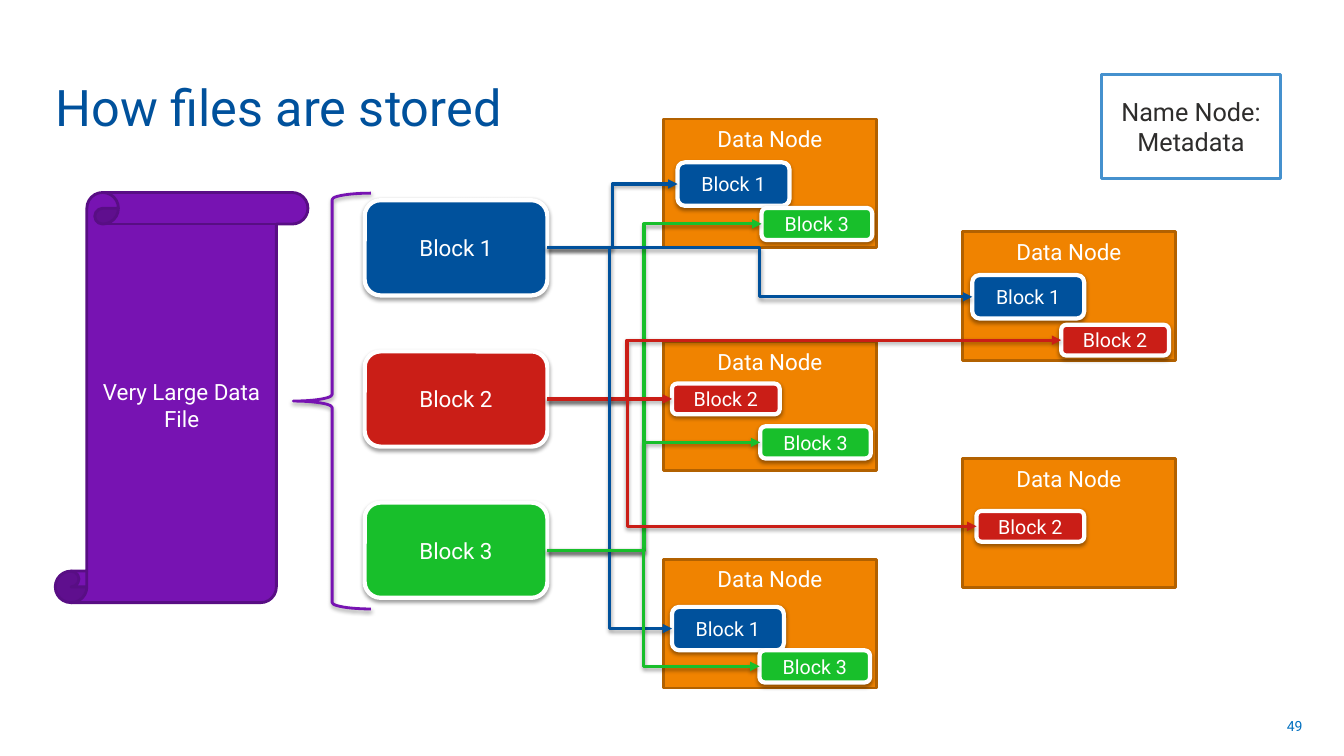
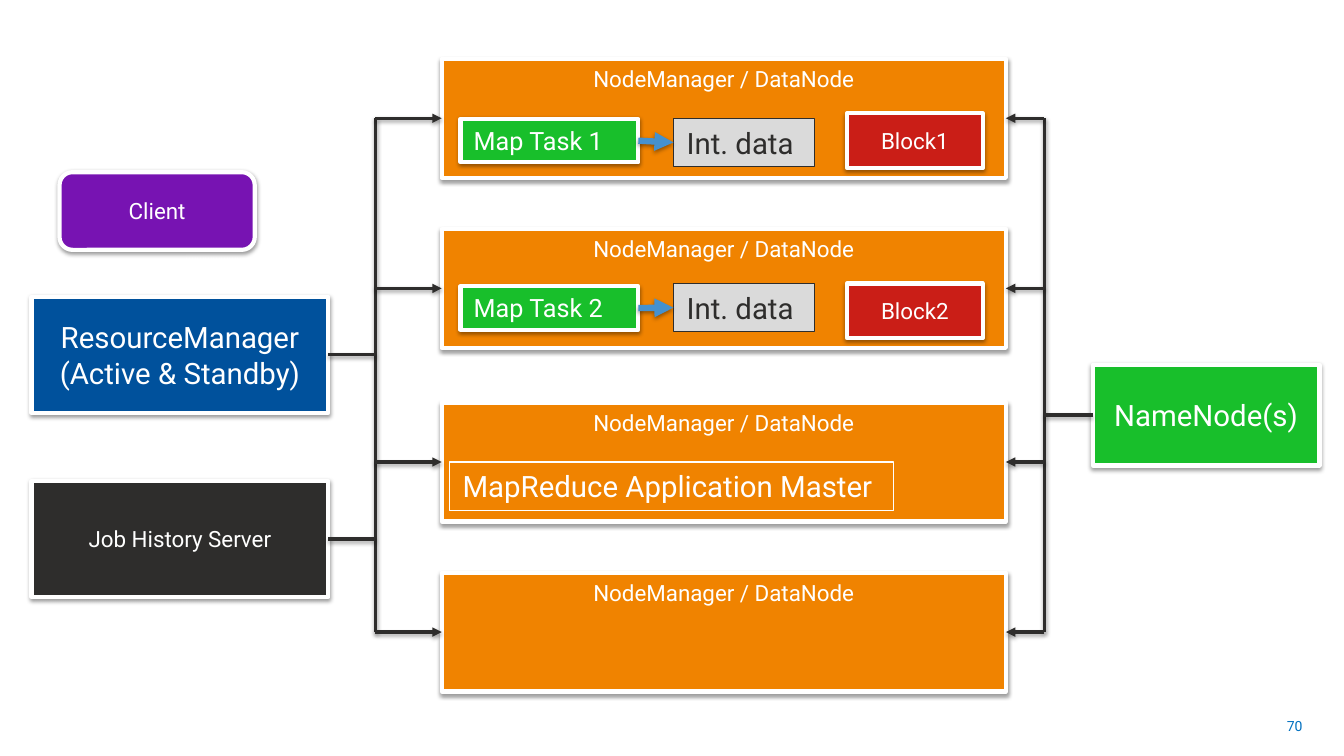
from dataclasses import dataclass

from lxml.etree import SubElement
from pptx import Presentation
from pptx.dml.color import RGBColor
from pptx.enum.shapes import MSO_CONNECTOR, MSO_SHAPE
from pptx.enum.text import MSO_ANCHOR, PP_ALIGN
from pptx.oxml.ns import qn
from pptx.util import Pt


@dataclass(frozen=True)
class Theme:
    """Colours, font and type sizes shared by the slides."""

    font: str = "Roboto"
    blue: str = "00519C"
    red: str = "CA1E17"
    green: str = "18BF2B"
    purple: str = "7713B2"
    purple_edge: str = "580E84"
    orange: str = "F08300"
    orange_edge: str = "B26100"
    sky: str = "4591CE"
    ink: str = "2E2D2C"
    grey: str = "DADADA"
    white: str = "FFFFFF"
    number: str = "0070C0"
    title_size: float = 36
    large: float = 21
    medium: float = 18
    body: float = 16
    small: float = 14
    number_size: float = 10


THEME = Theme()
LEFT_SIDE, RIGHT_SIDE = 1, 3
BLOCK_COLOURS = {1: THEME.blue, 2: THEME.red, 3: THEME.green}
BLOCK_SIZES = {1: (80, 31), 2: (77, 22), 3: (79, 23)}
BLOCK_LANES = {1: None, 2: 448, 3: 460}


def rgb(colour):
    """Turn a hex string into a colour."""
    return RGBColor.from_string(colour)


def write(frame, text, size, colour, align):
    """Fill a text frame and format all its paragraphs alike."""
    frame.text = text
    for paragraph in frame.paragraphs:
        paragraph.alignment = align
        paragraph.font.name = THEME.font
        paragraph.font.size = Pt(size)
        paragraph.font.color.rgb = rgb(colour)


def cast_shadow(properties):
    """Give a shape or connector the soft shadow of the deck."""
    effects = properties.find(qn("a:effectLst"))
    if effects is None:
        effects = SubElement(properties, qn("a:effectLst"))
    shadow = SubElement(effects, qn("a:outerShdw"), blurRad=str(Pt(3.1)),
                        dist=str(Pt(1.6)), dir="5400000", rotWithShape="0")
    tint = SubElement(shadow, qn("a:srgbClr"), val="000000")
    SubElement(tint, qn("a:alpha"), val="38000")


def add_panel(slide, box, text="", fill=None, edge=THEME.white, weight=3, size=THEME.body,
              colour=THEME.white, geometry=MSO_SHAPE.RECTANGLE, anchor=MSO_ANCHOR.MIDDLE,
              align=PP_ALIGN.CENTER, shadow=True):
    """Add a preset shape with an optional label."""
    panel = slide.shapes.add_shape(geometry, *map(Pt, box))
    panel.shadow.inherit = False
    if fill:
        panel.fill.solid()
        panel.fill.fore_color.rgb = rgb(fill)
    else:
        panel.fill.background()
    panel.line.color.rgb = rgb(edge)
    panel.line.width = Pt(weight)
    if shadow:
        cast_shadow(panel.element.spPr)
    if text:
        frame = panel.text_frame
        frame.word_wrap = True
        frame.vertical_anchor = anchor
        frame.margin_left = frame.margin_right = Pt(9.4)
        frame.margin_top = frame.margin_bottom = Pt(4.5)
        write(frame, text, size, colour, align)
    return panel


def end_point(end):
    """Return the position of a free point or of a shape's side."""
    first, second = end
    if isinstance(first, (int, float)):
        return Pt(first), Pt(second)
    x = first.left + (first.width if second == RIGHT_SIDE else 0)
    return x, first.top + first.height // 2


def add_link(slide, start, finish, colour=THEME.ink, weight=2.25, arrow=True, elbow=False, lane=None):
    """Join two points or (shape, side) pairs, bending at the lane if given."""
    begin, end = end_point(start), end_point(finish)
    kind = MSO_CONNECTOR.ELBOW if elbow else MSO_CONNECTOR.STRAIGHT
    link = slide.shapes.add_connector(kind, *begin, *end)
    if not isinstance(start[0], (int, float)):
        link.begin_connect(*start)
    if not isinstance(finish[0], (int, float)):
        link.end_connect(*finish)
    link.line.color.rgb = rgb(colour)
    link.line.width = Pt(weight)
    properties = link.element.spPr
    if arrow:
        SubElement(properties.find(qn("a:ln")), qn("a:tailEnd"), type="triangle")
    if lane:
        bend = round(100000 * (Pt(lane) - begin[0]) / (end[0] - begin[0]))
        guides = properties.find(qn("a:prstGeom")).find(qn("a:avLst"))
        SubElement(guides, qn("a:gd"), name="adj1", fmla=f"val {bend}")
    cast_shadow(properties)


def add_page(deck, layout, number):
    """Add a slide with its page number."""
    slide = deck.slides.add_slide(deck.slide_layouts[layout])
    footer = slide.shapes.add_textbox(Pt(713.5), Pt(504), Pt(224), Pt(29)).text_frame
    footer.word_wrap = True
    footer.vertical_anchor = MSO_ANCHOR.MIDDLE
    write(footer, number, THEME.number_size, THEME.number, PP_ALIGN.RIGHT)
    return slide


def place_title(slide, text):
    """Place the title at the foot of its band."""
    title = slide.shapes.title
    title.left, title.top, title.width, title.height = map(Pt, (32.4, 10, 718.6, 91))
    title.text_frame.vertical_anchor = MSO_ANCHOR.BOTTOM
    write(title.text_frame, text, THEME.title_size, THEME.blue, PP_ALIGN.LEFT)


def add_block(slide, block, box, size):
    """Add one numbered file block."""
    return add_panel(slide, box, f"Block {block}", BLOCK_COLOURS[block], size=size,
                     geometry=MSO_SHAPE.ROUNDED_RECTANGLE)


def add_data_node(slide, left, top, contents):
    """Add a data node and return the blocks stored in it."""
    add_panel(slide, (left, top, 152, 92), "Data Node", THEME.orange, THEME.orange_edge, 2,
              anchor=MSO_ANCHOR.TOP, shadow=False)
    return [(block, add_block(slide, block, (left + x, top + y, *BLOCK_SIZES[block]), THEME.small))
            for block, x, y in contents]


def add_source_file(slide, left, top):
    """Add the large file, the brace and its three blocks."""
    add_panel(slide, (left, top, 180.5, 293), "Very Large Data File", THEME.purple,
              THEME.purple_edge, 2, geometry=MSO_SHAPE.VERTICAL_SCROLL, shadow=False)
    add_panel(slide, (left + 170, top + 0.5, 55.5, 297), edge=THEME.purple, weight=2,
              geometry=MSO_SHAPE.LEFT_BRACE)
    return {block: add_block(slide, block, (left + 221, top + 5.5 + 108 * row, 130.5, 68), THEME.body)
            for row, block in enumerate(BLOCK_COLOURS)}


def build_storage_slide(deck):
    """Show how the blocks of a file are spread over data nodes."""
    slide = add_page(deck, 5, "49")
    place_title(slide, "How files are stored")
    sources = add_source_file(slide, 39.5, 137.5)
    add_panel(slide, (787, 53.5, 127.5, 74), "Name Node:\nMetadata", THEME.white, THEME.sky, 2,
              THEME.medium, THEME.ink, shadow=False)
    near, far = 474, 687.5
    nodes = [
        (near, 85, [(1, 10, 31), (3, 70, 63.5)]),
        (far, 165.5, [(1, 7, 31), (2, 70.5, 66.5)]),
        (near, 244, [(2, 6, 30), (3, 69, 60.5)]),
        (far, 327.5, [(2, 10, 37.5)]),
        (near, 399.5, [(1, 6, 34), (3, 68.5, 65)]),
    ]
    stored = [pair for node in nodes for pair in add_data_node(slide, *node)]
    for block, replica in stored:
        add_link(slide, (sources[block], RIGHT_SIDE), (replica, LEFT_SIDE), BLOCK_COLOURS[block],
                 elbow=True, lane=BLOCK_LANES[block])


def add_manager_node(slide, left, top):
    """Add one worker node of the cluster."""
    return add_panel(slide, (left, top, 403, 85), "NodeManager / DataNode", THEME.orange,
                     anchor=MSO_ANCHOR.TOP)


def add_map_work(slide, left, top, number, task_top, data_top):
    """Add a map task, its intermediate data and its block inside a node."""
    task = add_panel(slide, (left + 13.5, top + task_top, 127, 31), f"Map Task {number}", THEME.green,
                     size=THEME.medium, anchor=MSO_ANCHOR.TOP, align=PP_ALIGN.LEFT)
    data = add_panel(slide, (left + 165.5, top + data_top, 101, 34.5), "Int. data", THEME.grey,
                     THEME.ink, 0.75, THEME.large, THEME.ink, anchor=MSO_ANCHOR.TOP,
                     align=PP_ALIGN.LEFT, shadow=False)
    add_panel(slide, (left + 289.5, top + 39, 97, 39), f"Block{number}", THEME.red)
    add_link(slide, (task, RIGHT_SIDE), (data, LEFT_SIDE), THEME.sky, 4.5)


def add_bus(slide, x, servers, server_side, nodes, node_side):
    """Link servers to all nodes over one vertical line."""
    heights = [end_point((node, node_side))[1].pt if hasattr(end_point((node, node_side))[1], "pt")
               else end_point((node, node_side))[1] / Pt(1) for node in nodes]
    add_link(slide, (x, heights[0]), (x, heights[-1]), arrow=False)
    for server in servers:
        y = end_point((server, server_side))[1] / Pt(1)
        add_link(slide, (server, server_side), (x, y), arrow=False)
    for node, y in zip(nodes, heights):
        add_link(slide, (x, y), (node, node_side))


def build_cluster_slide(deck):
    """Show the servers and worker nodes of the cluster."""
    slide = add_page(deck, 6, "70")
    add_panel(slide, (42.5, 123, 139.5, 55.5), "Client", THEME.purple,
              geometry=MSO_SHAPE.ROUNDED_RECTANGLE)
    manager = add_panel(slide, (22.5, 212, 212, 83), "ResourceManager (Active & Standby)",
                        THEME.blue, size=THEME.large)
    history = add_panel(slide, (22.5, 343.5, 212, 83), "Job History Server", THEME.ink)
    names = add_panel(slide, (780.5, 260.5, 162, 72), "NameNode(s)", THEME.green, size=THEME.large)
    left, tops = 315.5, (42, 163.5, 287.5, 409)
    nodes = [add_manager_node(slide, left, top) for top in tops]
    add_bus(slide, 268, [manager, history], RIGHT_SIDE, nodes, LEFT_SIDE)
    add_bus(slide, 746, [names], LEFT_SIDE, nodes, RIGHT_SIDE)
    add_map_work(slide, left, tops[0], 1, 43, 42.5)
    add_map_work(slide, left, tops[1], 2, 41, 39)
    add_panel(slide, (left + 5.5, tops[2] + 42.5, 317, 34.5), "MapReduce Application Master",
              weight=0.75, size=THEME.large, anchor=MSO_ANCHOR.TOP, align=PP_ALIGN.LEFT, shadow=False)


def main():
    """Build and save the deck."""
    deck = Presentation()
    deck.slide_width, deck.slide_height = Pt(960), Pt(540)
    build_storage_slide(deck)
    build_cluster_slide(deck)
    deck.save("out.pptx")


if __name__ == "__main__":
    main()
